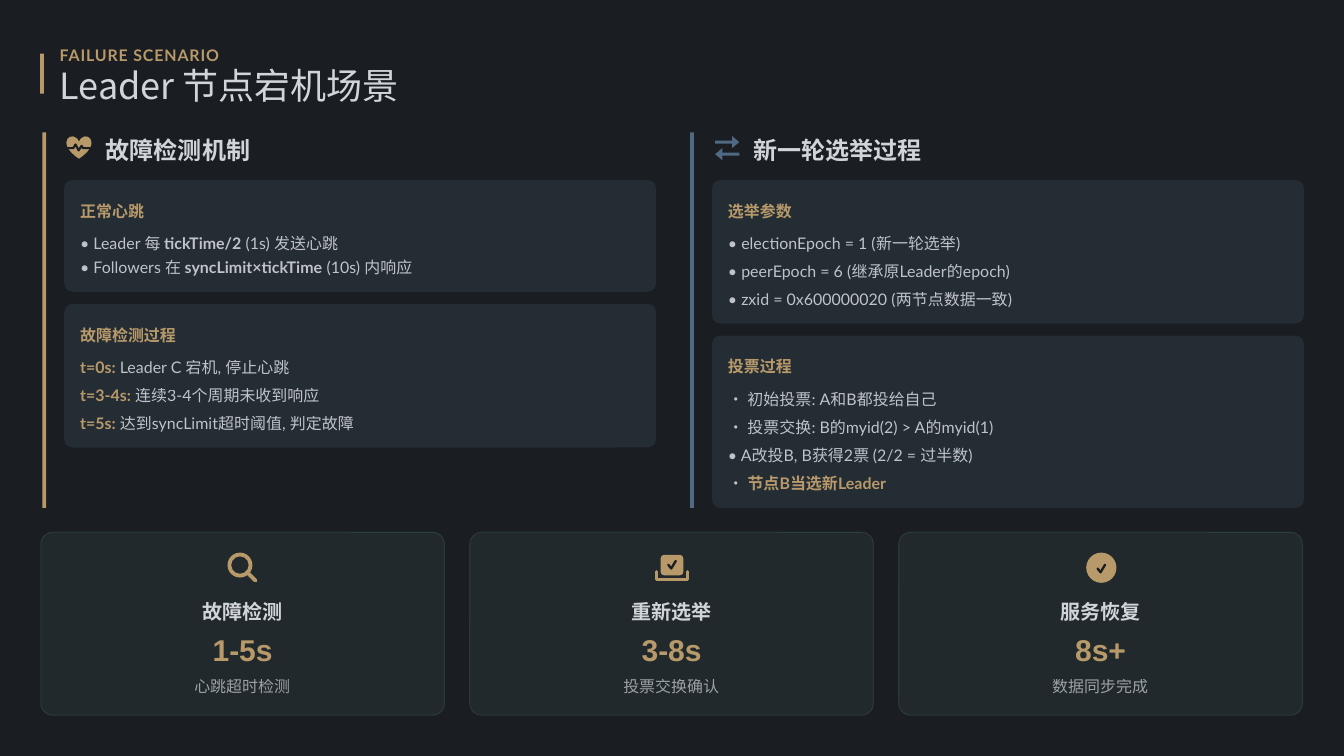
from lxml import etree
from pptx import Presentation
from pptx.dml.color import RGBColor
from pptx.enum.shapes import MSO_CONNECTOR, MSO_SHAPE
from pptx.enum.text import MSO_ANCHOR, PP_ALIGN
from pptx.oxml.ns import qn
from pptx.util import Inches, Pt

BACKGROUND = RGBColor(0x1A, 0x1D, 0x21)
GOLD = RGBColor(0xB8, 0x9A, 0x6A)
BLUE = RGBColor(0x4F, 0x6A, 0x82)
GREEN = RGBColor(0x3E, 0x5C, 0x5A)
LIGHT = RGBColor(0xD1, 0xD5, 0xDB)

RECTANGLE = MSO_SHAPE.RECTANGLE
ROUNDED = MSO_SHAPE.ROUNDED_RECTANGLE
OVAL = MSO_SHAPE.OVAL
LEFT = PP_ALIGN.LEFT
CENTER = PP_ALIGN.CENTER

# Run styles: colour, bold, opacity in percent
TITLE = (LIGHT, False, 100)
HEADING = (LIGHT, True, 100)
ACCENT = (GOLD, True, 100)
BODY = (LIGHT, False, 90)
STRONG = (LIGHT, True, 90)
CAPTION = (LIGHT, False, 70)

presentation = Presentation()
presentation.slide_width = Inches(17.78)
presentation.slide_height = Inches(10)
slide = presentation.slides.add_slide(presentation.slide_layouts[6])
slide.background.fill.solid()
slide.background.fill.fore_color.rgb = BACKGROUND


def add_block(kind, left, top, width, height, color, opacity=100, adjustments=()):
    shape = slide.shapes.add_shape(
        kind, Inches(left), Inches(top), Inches(width), Inches(height))
    shape.shadow.inherit = False
    shape.fill.solid()
    shape.fill.fore_color.rgb = color
    shape.line.fill.background()
    for index, value in enumerate(adjustments):
        shape.adjustments[index] = value
    if opacity < 100:
        fill_color = shape._element.spPr.find(qn("a:solidFill"))[0]
        etree.SubElement(fill_color, qn("a:alpha"), val=str(opacity * 1000))
    return shape


def add_text(left, top, width, height, runs, size=15.2, spacing=1.3,
             align=LEFT, font="Lato", tracking=0):
    box = slide.shapes.add_textbox(
        Inches(left), Inches(top), Inches(width), Inches(height))
    frame = box.text_frame
    frame.word_wrap = True
    frame.vertical_anchor = MSO_ANCHOR.MIDDLE
    frame.margin_left = frame.margin_right = 0
    frame.margin_top = frame.margin_bottom = 0
    paragraph = frame.paragraphs[0]
    paragraph.alignment = align
    paragraph.line_spacing = spacing
    paragraph.font.size = Pt(size)
    paragraph.font.name = font
    for text, (color, bold, opacity) in runs:
        run = paragraph.add_run()
        run.text = text
        run.font.bold = bold
        run.font.color.rgb = color
        properties = run._r.get_or_add_rPr()
        if opacity < 100:
            text_color = properties.find(qn("a:solidFill"))[0]
            etree.SubElement(text_color, qn("a:alpha"), val=str(opacity * 1000))
        if tracking:
            properties.set("spc", str(tracking))


# Slide title
add_block(RECTANGLE, 0.53, 0.71, 0.05, 0.53, GOLD)
add_text(0.79, 0.53, 4.7, 0.32, [("FAILURE SCENARIO", ACCENT)], tracking=80)
add_text(0.79, 0.9, 4.83, 0.53, [("Leader 节点宕机场景", TITLE)],
         size=34.3, spacing=0.9, font="Noto Sans CJK SC")

# Two columns: left, bar colour, heading, panels
# Each panel: top, height, row pitch, title, rows of runs
columns = [
    (0.56, GOLD, "故障检测机制", [
        (2.38, 1.48, 0.31, "正常心跳", [
            [("• Leader 每 ", BODY), ("tickTime/2", STRONG), (" (1s) 发送心跳", BODY)],
            [("• Followers 在 ", BODY), ("syncLimit×tickTime", STRONG),
             (" (10s) 内响应", BODY)],
        ]),
        (4.02, 1.9, 0.37, "故障检测过程", [
            [("t=0s:", ACCENT), (" Leader C 宕机, 停止心跳", BODY)],
            [("t=3-4s:", ACCENT), (" 连续3-4个周期未收到响应", BODY)],
            [("t=5s:", ACCENT), (" 达到syncLimit超时阈值, 判定故障", BODY)],
        ]),
    ]),
    (9.13, BLUE, "新一轮选举过程", [
        (2.38, 1.9, 0.37, "选举参数", [
            [("• electionEpoch = 1 (新一轮选举)", BODY)],
            [("• peerEpoch = 6 (继承原Leader的epoch)", BODY)],
            [("• zxid = 0x600000020 (两节点数据一致)", BODY)],
        ]),
        (4.44, 2.28, 0.37, "投票过程", [
            [("• 初始投票: A和B都投给自己", BODY)],
            [("• 投票交换: B的myid(2) > A的myid(1)", BODY)],
            [("• A改投B, B获得2票 (2/2 = 过半数)", BODY)],
            [("• ", BODY), ("节点B当选新Leader", ACCENT)],
        ]),
    ]),
]
for left, color, heading, panels in columns:
    add_block(RECTANGLE, left, 1.75, 0.05, 4.97, color)
    add_text(left + 0.84, 1.75, 2.38, 0.42, [(heading, HEADING)],
             size=22.9, spacing=1.1)
    for top, height, pitch, title, rows in panels:
        add_block(ROUNDED, left + 0.29, top, 7.83, height, BLUE, 20, [0.11 / height])
        add_text(left + 0.5, top + 0.21, 7.51, 0.32, [(title, ACCENT)])
        for index, runs in enumerate(rows):
            add_text(left + 0.5, top + 0.64 + index * pitch, 7.51, 0.32, runs)

# Phase cards
cards = [
    ("故障检测", "1-5s", "心跳超时检测"),
    ("重新选举", "3-8s", "投票交换确认"),
    ("服务恢复", "8s+", "数据同步完成"),
]
for index, (phase, duration, caption) in enumerate(cards):
    left = 0.54 + index * 5.675
    card = add_block(ROUNDED, left, 7.04, 5.34, 2.42, GREEN, 20, [0.065])
    card.line.color.rgb = GREEN
    card.line.width = Pt(1)
    line_color = card.line._ln.find(qn("a:solidFill"))[0]
    etree.SubElement(line_color, qn("a:alpha"), val="40000")
    add_text(left + 0.2, 7.87, 4.93, 0.37, [(phase, HEADING)],
             size=19.1, spacing=1.2, align=CENTER)
    add_text(left + 0.17, 8.35, 5, 0.48, [(duration, ACCENT)],
             size=28.6, spacing=1, align=CENTER, font="Arial")
    add_text(left + 0.21, 8.88, 4.91, 0.32, [(caption, CAPTION)], align=CENTER)

# Icon bodies: heart, swap arrows, magnifier ring, ballot, check disc
add_block(MSO_SHAPE.HEART, 0.88, 1.8, 0.33, 0.3, GOLD)
add_block(MSO_SHAPE.RIGHT_ARROW, 9.46, 1.8, 0.32, 0.16, BLUE, 100, [0.25, 0.6])
add_block(MSO_SHAPE.LEFT_ARROW, 9.46, 1.96, 0.32, 0.16, BLUE, 100, [0.25, 0.6])
add_block(MSO_SHAPE.DONUT, 3.01, 7.31, 0.33, 0.33, GOLD, 100, [0.15])
add_block(ROUNDED, 8.74, 7.34, 0.3, 0.27, GOLD, 100, [0.18])
add_block(OVAL, 14.37, 7.31, 0.4, 0.4, GOLD)

# Magnifier handle
handle = slide.shapes.add_connector(
    MSO_CONNECTOR.STRAIGHT, Inches(3.29), Inches(7.59), Inches(3.38), Inches(7.68))
handle.line.color.rgb = GOLD
handle.line.width = Pt(3.6)
handle.line._ln.set("cap", "rnd")
etree.SubElement(handle._element.spPr, qn("a:effectLst"))

# Icon strokes: pulse, ballot tick, ballot tray, disc tick
strokes = [
    (BACKGROUND, 2, [(0.88, 1.96), (0.97, 1.96), (1, 1.91), (1.04, 1.99),
                     (1.08, 1.93), (1.1, 1.96), (1.21, 1.96)]),
    (BACKGROUND, 2.2, [(8.84, 7.47), (8.88, 7.52), (8.94, 7.42)]),
    (GOLD, 2.8, [(8.69, 7.56), (8.69, 7.67), (9.1, 7.67), (9.1, 7.56)]),
    (BACKGROUND, 2.2, [(14.52, 7.52), (14.56, 7.57), (14.62, 7.47)]),
]
for color, width, points in strokes:
    builder = slide.shapes.build_freeform(
        Inches(points[0][0]), Inches(points[0][1]))
    builder.add_line_segments(
        [(Inches(x), Inches(y)) for x, y in points[1:]], close=False)
    stroke = builder.convert_to_shape()
    stroke.shadow.inherit = False
    stroke.fill.background()
    stroke.line.color.rgb = color
    stroke.line.width = Pt(width)
    stroke.line._ln.set("cap", "rnd")

presentation.save("out.pptx")
